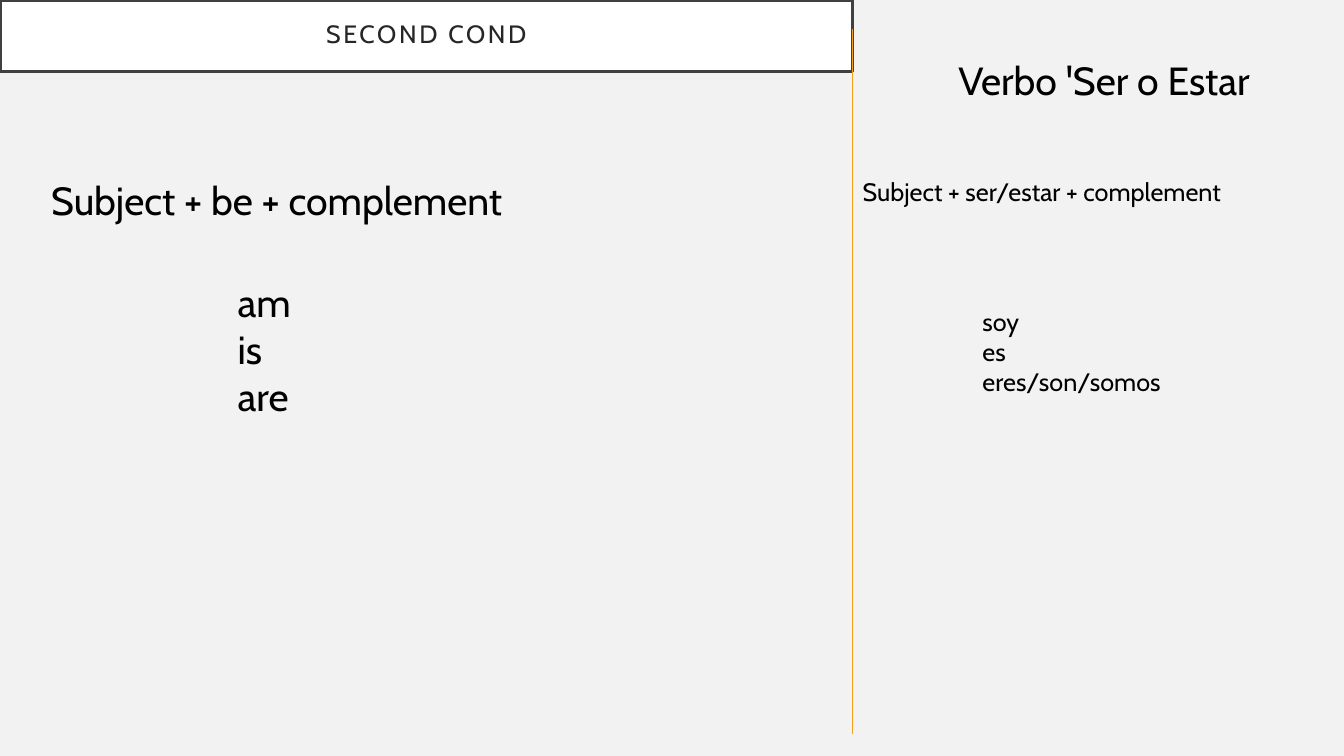
from pptx import Presentation
from pptx.dml.color import RGBColor
from pptx.enum.shapes import MSO_CONNECTOR
from pptx.enum.text import MSO_ANCHOR, MSO_AUTO_SIZE, PP_ALIGN
from pptx.oxml.ns import qn
from pptx.util import Cm, Pt
from lxml.etree import SubElement

FONT = "Cabin"
PAPER = RGBColor(0xF2, 0xF2, 0xF2)
WHITE = RGBColor(0xFF, 0xFF, 0xFF)
FRAME = RGBColor(0x40, 0x40, 0x40)
TITLE_INK = RGBColor(0x26, 0x26, 0x26)
BLACK = RGBColor(0, 0, 0)
ORANGE = RGBColor(0xF5, 0x9F, 0x17)

LARGE, SMALL = 28, 18
DIVIDER_X = 21.49
FORMULA_TOP = 4.32

TITLE = "SECOND COND"
# lines, left, top, width, height (cm), text size (pt)
TEXTS = [
    (["Subject + be + complement"], 1.04, FORMULA_TOP, 18.52, 3.81, LARGE),
    (["am", "is", "are"], 5.74, 6.88, 7.44, 2.62, LARGE),
    (["Verbo 'Ser o Estar"], 23.9, 1.3, 8.43, 1.42, LARGE),
    (["Subject + ser/estar + complement"], DIVIDER_X, FORMULA_TOP, 12.14, 2.54, SMALL),
    (["soy", "es", "eres/son/somos"], 24.51, 7.59, 6.6, 2.54, SMALL),
]


def add_span(para, text, size, color):
    """Add one formatted run to a paragraph and return it."""
    span = para.add_run()
    span.text = text
    span.font.name = FONT
    span.font.size = Pt(size)
    span.font.color.rgb = color
    return span


def set_title(page):
    """Place and format the framed title bar."""
    title = page.shapes.title
    title.left, title.top = Cm(0), Cm(0)
    title.width, title.height = Cm(DIVIDER_X), Cm(1.8)
    title.fill.solid()
    title.fill.fore_color.rgb = WHITE
    title.line.color.rgb = FRAME
    title.line.width = Pt(2.5)
    frame = title.text_frame
    frame.word_wrap = True
    frame.auto_size = MSO_AUTO_SIZE.NONE
    frame.vertical_anchor = MSO_ANCHOR.MIDDLE
    frame.margin_left = frame.margin_right = Cm(0.5)
    frame.margin_top = frame.margin_bottom = Cm(0.5)
    para = frame.paragraphs[0]
    para.alignment = PP_ALIGN.CENTER
    para.line_spacing = 0.9
    span = add_span(para, TITLE, 17.9, TITLE_INK)
    span.font._element.set("spc", "190")


def add_text(page, lines, left, top, width, height, size):
    """Add a wrapped text box whose lines share one paragraph."""
    box = page.shapes.add_textbox(Cm(left), Cm(top), Cm(width), Cm(height))
    frame = box.text_frame
    frame.word_wrap = True
    frame.auto_size = MSO_AUTO_SIZE.SHAPE_TO_FIT_TEXT
    para = frame.paragraphs[0]
    for index, line in enumerate(lines):
        if index:
            para.add_line_break()
        add_span(para, line, size, BLACK)


def add_divider(page):
    """Draw the vertical line between the two languages."""
    divider = page.shapes.add_connector(
        MSO_CONNECTOR.STRAIGHT, Cm(DIVIDER_X), Cm(0.74), Cm(DIVIDER_X), Cm(18.49))
    divider.line.color.rgb = ORANGE
    divider.line.width = Pt(0.75)
    SubElement(divider._element.spPr, qn("a:effectLst"))


deck = Presentation()
deck.slide_width, deck.slide_height = Cm(33.87), Cm(19.05)
page = deck.slides.add_slide(deck.slide_layouts.get_by_name("Title Only"))
page.background.fill.solid()
page.background.fill.fore_color.rgb = PAPER
set_title(page)
add_divider(page)
for text in TEXTS:
    add_text(page, *text)
deck.save("out.pptx")
